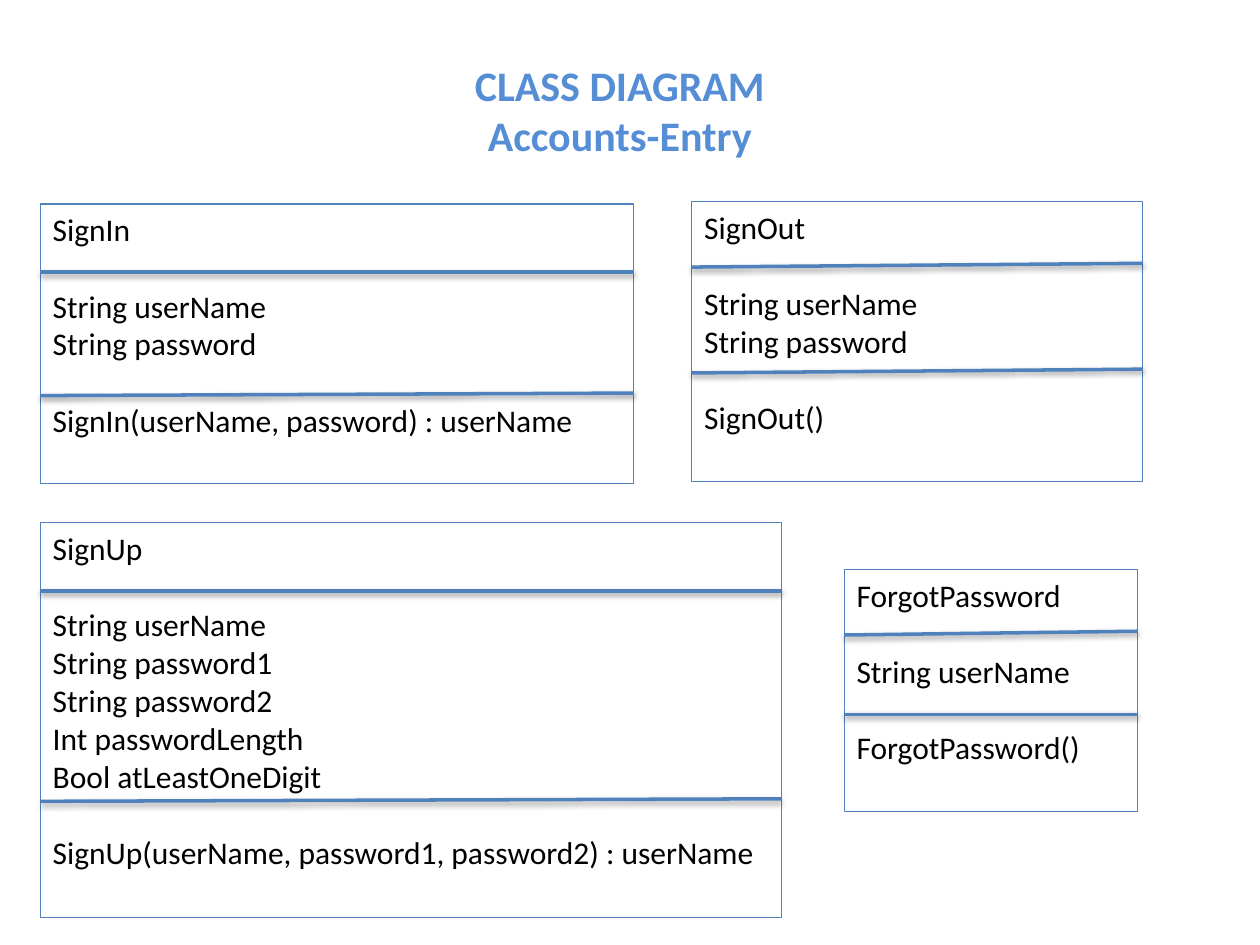
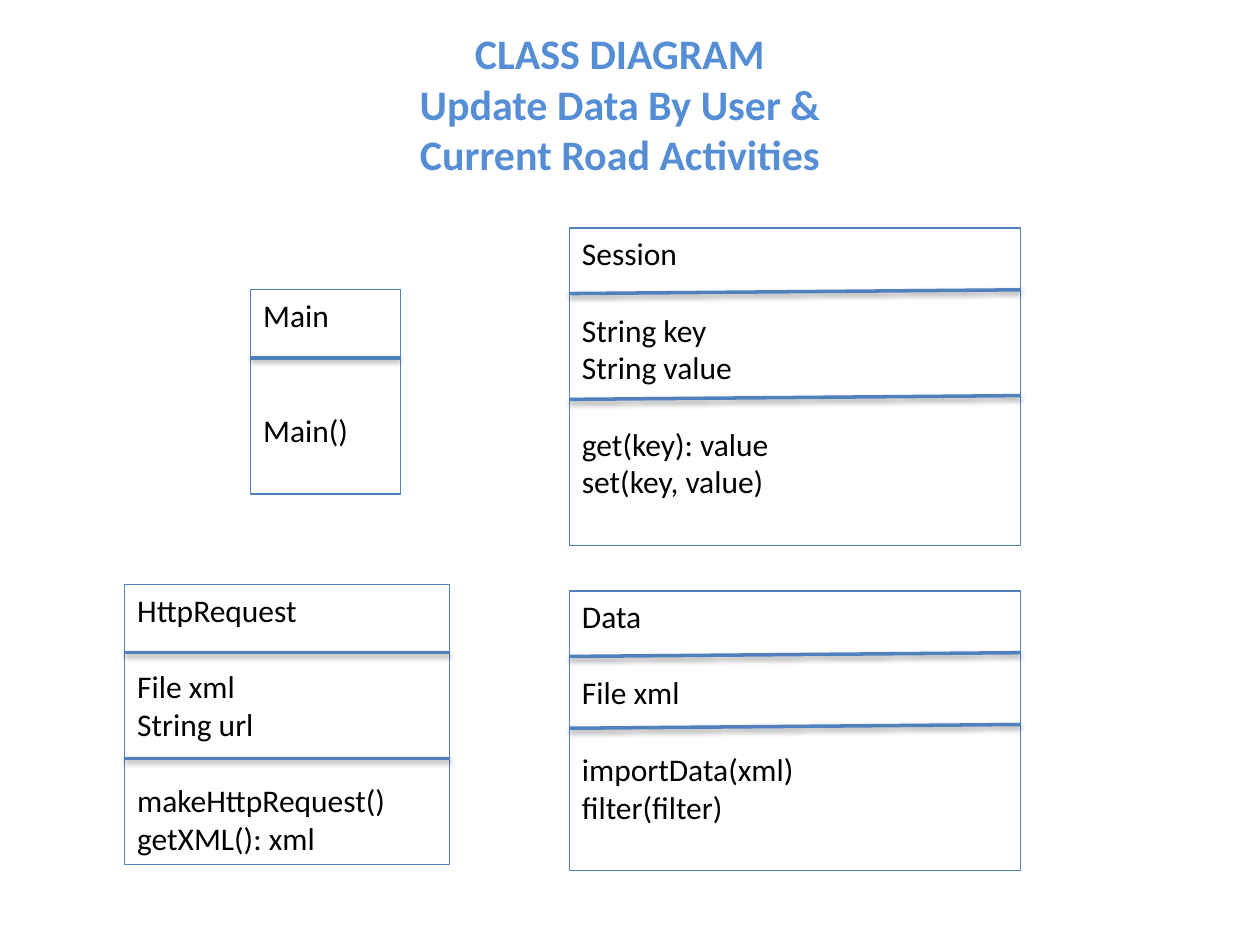
"""Build two class diagram slides on a grid of 100 columns by 75 rows."""
from dataclasses import dataclass

from pptx import Presentation
from pptx.dml.color import RGBColor
from pptx.enum.shapes import MSO_CONNECTOR, MSO_SHAPE
from pptx.enum.text import MSO_ANCHOR, PP_ALIGN
from pptx.slide import Slide
from pptx.text.text import TextFrame
from pptx.util import Inches, Pt

WIDE, TALL = Inches(10), Inches(7.5)
COL, ROW = WIDE / 100, TALL / 75
BLUE = RGBColor(0x4F, 0x81, 0xBD)
SKY = RGBColor(0x55, 0x8E, 0xD5)
BLACK = RGBColor(0, 0, 0)

FRAME = {"word_wrap": True, "vertical_anchor": MSO_ANCHOR.TOP}
HEAD = {"name": "Calibri", "size": Pt(24), "bold": True}
BODY = {"name": "Calibri", "size": Pt(18), "bold": False}
GAP = Pt(22)


@dataclass(frozen=True)
class Bar:
    """Divider: rows below the box top, and rise from left to right."""
    drop: float
    rise: float = 0


@dataclass(frozen=True)
class Box:
    """Class box in columns and rows, with its text groups and dividers."""
    left: float
    top: float
    wide: float
    tall: float
    groups: tuple[tuple[str, ...], ...]
    bars: tuple[Bar, ...]
    blanks: int = 1


@dataclass(frozen=True)
class Page:
    """One slide: title lines, title place and class boxes."""
    title: tuple[str, ...]
    top: float
    tall: float
    boxes: tuple[Box, ...]


PAGES = (
    Page(("CLASS DIAGRAM", "Accounts-Entry"), 4.2, 9.1, (
        Box(3.2, 16.2, 47.1, 22.2,
            (("SignIn",), ("String userName", "String password"),
             ("SignIn(userName, password) : userName",)),
            (Bar(5.4), Bar(15.2, 0.2))),
        Box(54.9, 16, 35.8, 22.2,
            (("SignOut",), ("String userName", "String password"),
             ("SignOut()",)),
            (Bar(5.2, 0.3), Bar(13.6, 0.3))),
        Box(3.2, 41.5, 58.8, 31.3,
            (("SignUp",),
             ("String userName", "String password1", "String password2",
              "Int passwordLength", "Bool atLeastOneDigit"),
             ("SignUp(userName, password1, password2) : userName",)),
            (Bar(5.4), Bar(22.1, 0.2))),
        Box(67, 45.2, 23.3, 19.2,
            (("ForgotPassword",), ("String userName",),
             ("ForgotPassword()",)),
            (Bar(5.2, 0.3), Bar(11.5))),
    )),
    Page(("CLASS DIAGRAM", "Update Data By User & Current Road Activities"),
         1.7, 13.1, (
        Box(19.9, 23, 11.9, 16.2, (("Main",), ("Main()",)),
            (Bar(5.4),), blanks=2),
        Box(45.2, 18.1, 35.8, 25.2,
            (("Session",), ("String key", "String value"),
             ("get(key): value", "set(key, value)")),
            (Bar(5.2, 0.3), Bar(13.6, 0.3))),
        Box(9.9, 46.4, 25.8, 22.2,
            (("HttpRequest",), ("File xml", "String url"),
             ("makeHttpRequest()", "getXML(): xml")),
            (Bar(5.4), Bar(13.8))),
        Box(45.2, 46.9, 35.8, 22.2,
            (("Data",), ("File xml",), ("importData(xml)", "filter(filter)")),
            (Bar(5.2, 0.3), Bar(10.9, 0.3))),
    )),
)


def place(*cells: float) -> list[int]:
    """Turn column and row pairs into slide lengths."""
    return [round(cell * (ROW if i % 2 else COL))
            for i, cell in enumerate(cells)]


def style(item: object, looks: dict) -> None:
    """Set each format value on the item."""
    for key, value in looks.items():
        setattr(item, key, value)


def write(frame: TextFrame, groups: tuple[tuple[str, ...], ...], looks: dict,
          hue: RGBColor, align: PP_ALIGN, gap: int = 0) -> None:
    """Write groups of lines with a gap between the groups."""
    style(frame, FRAME)
    lines = [(text, gap if n and not i else 0)
             for n, group in enumerate(groups) for i, text in enumerate(group)]
    for i, (text, space) in enumerate(lines):
        para = frame.add_paragraph() if i else frame.paragraphs[0]
        style(para, {"alignment": align, "space_before": space})
        run = para.add_run()
        run.text = text
        style(run.font, looks)
        run.font.color.rgb = hue


def draw_box(slide: Slide, box: Box) -> None:
    """Draw a class box and its dividers."""
    rect = slide.shapes.add_shape(
        MSO_SHAPE.RECTANGLE, *place(box.left, box.top, box.wide, box.tall))
    rect.shadow.inherit = False
    rect.fill.background()
    rect.line.color.rgb = BLUE
    rect.line.width = Pt(0.75)
    write(rect.text_frame, box.groups, BODY, BLACK, PP_ALIGN.LEFT,
          GAP * box.blanks)
    for bar in box.bars:
        low = box.top + bar.drop
        line = slide.shapes.add_connector(
            MSO_CONNECTOR.STRAIGHT,
            *place(box.left, low, box.left + box.wide, low - bar.rise))
        line.line.color.rgb = BLUE
        line.line.width = Pt(2)


def draw_page(slide: Slide, page: Page) -> None:
    """Draw the title and all boxes of a page."""
    title = slide.shapes.add_textbox(*place(31.4, page.top, 35.6, page.tall))
    write(title.text_frame, (page.title,), HEAD, SKY, PP_ALIGN.CENTER)
    for box in page.boxes:
        draw_box(slide, box)


def main() -> None:
    """Build and save the deck."""
    deck = Presentation()
    style(deck, {"slide_width": WIDE, "slide_height": TALL})
    for page in PAGES:
        draw_page(deck.slides.add_slide(deck.slide_layouts[6]), page)
    deck.save("out.pptx")


if __name__ == "__main__":
    main()
